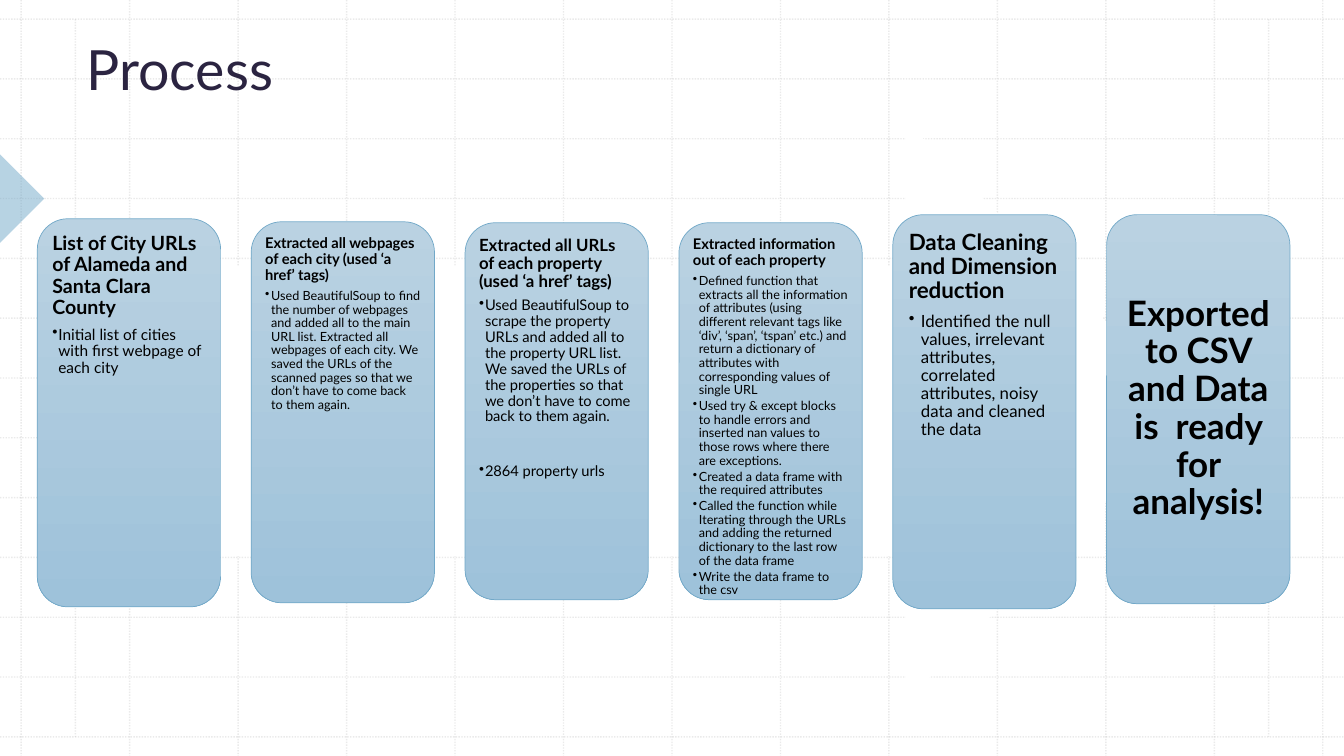
from dataclasses import dataclass

from lxml.etree import SubElement
from pptx import Presentation
from pptx.dml.color import RGBColor as RGB
from pptx.enum.dml import MSO_LINE_DASH_STYLE as Dash
from pptx.enum.shapes import MSO_CONNECTOR_TYPE as Connector, MSO_SHAPE as Shape
from pptx.enum.text import MSO_ANCHOR as Anchor, PP_ALIGN as Align
from pptx.oxml.ns import qn
from pptx.util import Inches, Pt


@dataclass(frozen=True)
class Theme:
    font: str = "Lato"
    title: str = "2B2441"
    text: str = "000000"
    grid: str = "BCBCBC"
    accent: str = "71A8C8"
    arrow: str = "FFFFFF"
    card_top: str = "BAD2E2"
    card_foot: str = "9EC2DA"
    title_size: float = 39.6
    line_spacing: float = 0.9
    heading_gap: float = 0.42  # share of the type size
    bullet_gap: float = 0.18


@dataclass(frozen=True)
class Box:
    left: float
    top: float
    width: float
    height: float

    def share(self, x, y, width, height):
        """A box given as shares of this one."""
        return Box(self.left + x * self.width, self.top + y * self.height,
                   width * self.width, height * self.height)

    def inches(self):
        return [Inches(n) for n in (self.left, self.top, self.width, self.height)]


@dataclass(frozen=True)
class Step:
    heading: str
    bullets: tuple
    heading_size: float
    bullet_size: float
    top: float
    height: float
    inset: float
    indent: float = 0.06
    last_gap: float = 0  # extra points above the last bullet
    centred: bool = False


THEME = Theme()
SLIDE = Box(0, 0, 13.33, 7.5)
GRID = Box(0.21, 0.19, 12.91, 7.12)
GRID_COLUMNS = GRID_ROWS = 12

STEPS = [
    Step("List of City URLs of Alameda and Santa Clara County",
         ("Initial list of cities with first webpage of each city",),
         14, 11, 2.17, 3.85, 0.06),
    Step("Extracted all webpages of each city (used ‘a href’ tags)",
         ("Used BeautifulSoup to find the number of webpages and added all to the main "
          "URL list. Extracted all webpages of each city. We saved the URLs of the "
          "scanned pages so that we don’t have to come back to them again.",),
         10.5, 9, 2.2, 3.78, 0.05),
    Step("Extracted all URLs of each property (used ‘a href’ tags)",
         ("Used BeautifulSoup to scrape the property URLs and added all to the property "
          "URL list. We saved the URLs of the properties so that we don’t have to come "
          "back to them again.",
          "2864 property urls"),
         12, 10.5, 2.21, 3.74, 0.05, last_gap=26),
    Step("Extracted information out of each property",
         ("Defined function that extracts all the information of attributes (using "
          "different relevant tags like ‘div’, ‘span’, ‘tspan’ etc.) and return a "
          "dictionary of attributes with corresponding values of single URL",
          "Used try & except blocks to handle errors and inserted nan values to those "
          "rows where there are exceptions.",
          "Created a data frame with the required attributes",
          "Called the function while Iterating through the URLs and adding the returned "
          "dictionary to the last row of the data frame",
          "Write the data frame to the csv"),
         10.5, 9, 2.21, 3.74, 0.05),
    Step("Data Cleaning and Dimension reduction",
         ("Identified the null values, irrelevant attributes, correlated attributes, "
          "noisy data and cleaned the data",),
         16, 12, 2.13, 3.91, 0.07, indent=0.12),
    Step("Exported to CSV and Data is  ready for analysis!", (),
         25, 0, 2.13, 3.86, 0.1, centred=True),
]


def set_all(target, values):
    for name, value in values.items():
        setattr(target, name, value)


def add_alpha(element, percent):
    colour = next(element.iter(qn("a:srgbClr")))
    SubElement(colour, qn("a:alpha"), val=str(percent * 1000))


def set_frame(frame, inset_x, inset_y, anchor):
    set_all(frame, {"word_wrap": True, "vertical_anchor": anchor,
                    "margin_left": Inches(inset_x), "margin_right": Inches(inset_x),
                    "margin_top": Inches(inset_y), "margin_bottom": Inches(inset_y)})


def write(para, text, size, colour, bold=False, **spacing):
    set_all(para, spacing)
    span = para.add_run()
    span.text = text
    set_all(span.font, {"name": THEME.font, "size": Pt(size), "bold": bold})
    span.font.color.rgb = RGB.from_string(colour)


def add_shape(page, kind, box, colour):
    shape = page.shapes.add_shape(kind, *box.inches())
    shape.shadow.inherit = False
    shape.fill.solid()
    shape.fill.fore_color.rgb = RGB.from_string(colour)
    shape.line.fill.background()
    return shape


def add_grid_line(page, x1, y1, x2, y2):
    line = page.shapes.add_connector(Connector.STRAIGHT,
                                     *[Inches(n) for n in (x1, y1, x2, y2)])
    set_all(line.line, {"width": Pt(1), "dash_style": Dash.ROUND_DOT})
    line.line.color.rgb = RGB.from_string(THEME.grid)
    properties = line._element.spPr
    add_alpha(properties, 30)
    SubElement(properties, qn("a:effectLst"))


def add_backdrop(page, box, grid):
    # Dotted grid across the whole page
    for column in range(GRID_COLUMNS + 1):
        x = grid.left + column * grid.width / GRID_COLUMNS
        add_grid_line(page, x, box.top, x, box.top + box.height)
    for row in range(GRID_ROWS + 1):
        y = grid.top + row * grid.height / GRID_ROWS
        add_grid_line(page, box.left, y, box.left + box.width, y)
    # Margin lines half a column inside the grid
    margin = grid.width / GRID_COLUMNS / 2
    for x in (grid.left + margin, grid.left + grid.width - margin):
        add_grid_line(page, x, grid.top, x, grid.top + grid.height)
    # Pointer centred on the left edge, on the third row line
    side = 0.62
    centre = grid.top + 3 * grid.height / GRID_ROWS
    pointer = add_shape(page, Shape.RIGHT_TRIANGLE,
                        Box(box.left - side / 2, centre - side / 2, side, side),
                        THEME.accent)
    pointer.rotation = 225
    add_alpha(pointer._element.spPr, 50)


def add_title(page, box, text):
    frame = page.shapes.add_textbox(*box.inches()).text_frame
    set_frame(frame, 0.1, 0.05, Anchor.BOTTOM)
    write(frame.paragraphs[0], text, THEME.title_size, THEME.title)


def add_card(page, box, step):
    card = add_shape(page, Shape.ROUNDED_RECTANGLE, box, THEME.card_top)
    card.fill.gradient()
    card.fill.gradient_angle = 270
    for stop, colour in zip(card.fill.gradient_stops, (THEME.card_top, THEME.card_foot)):
        stop.color.rgb = RGB.from_string(colour)
    card.line.color.rgb = RGB.from_string(THEME.accent)
    card.line.width = Pt(0.5)

    frame = card.text_frame
    set_frame(frame, step.inset, step.inset, Anchor.MIDDLE if step.centred else Anchor.TOP)
    write(frame.paragraphs[0], step.heading, step.heading_size, THEME.text, bold=True,
          alignment=Align.CENTER if step.centred else Align.LEFT,
          line_spacing=THEME.line_spacing,
          space_after=Pt(step.heading_size * THEME.heading_gap))
    for number, text in enumerate(step.bullets, 1):
        para = frame.add_paragraph()
        gap = step.last_gap if number == len(step.bullets) else 0
        write(para, text, step.bullet_size, THEME.text, level=1, alignment=Align.LEFT,
              line_spacing=THEME.line_spacing, space_before=Pt(gap),
              space_after=Pt(step.bullet_size * THEME.bullet_gap))
        properties = para._p.get_or_add_pPr()
        properties.set("marL", str(Inches(step.indent)))
        properties.set("indent", str(-Inches(step.indent)))
        SubElement(properties, qn("a:buChar"), char="•")


def add_process(page, box, steps):
    # White arrow behind the row of cards
    add_shape(page, Shape.RIGHT_ARROW, box.share(0.075, 0, 0.85, 1), THEME.arrow)
    # Cards: each six units wide with a gap of one unit
    unit = box.width / (7 * len(steps) - 1)
    for number, step in enumerate(steps):
        left = box.left + number * 7 * unit
        add_card(page, Box(left, step.top, 6 * unit, step.height), step)


def main():
    deck = Presentation()
    set_all(deck, {"slide_width": Inches(SLIDE.width), "slide_height": Inches(SLIDE.height)})
    page = deck.slides.add_slide(deck.slide_layouts[6])
    add_backdrop(page, SLIDE, GRID)
    add_title(page, SLIDE.share(0.057, 0.061, 0.847, 0.08), "Process")
    add_process(page, SLIDE.share(0.0278, 0.16, 0.932, 0.768), STEPS)
    deck.save("out.pptx")


if __name__ == "__main__":
    main()
